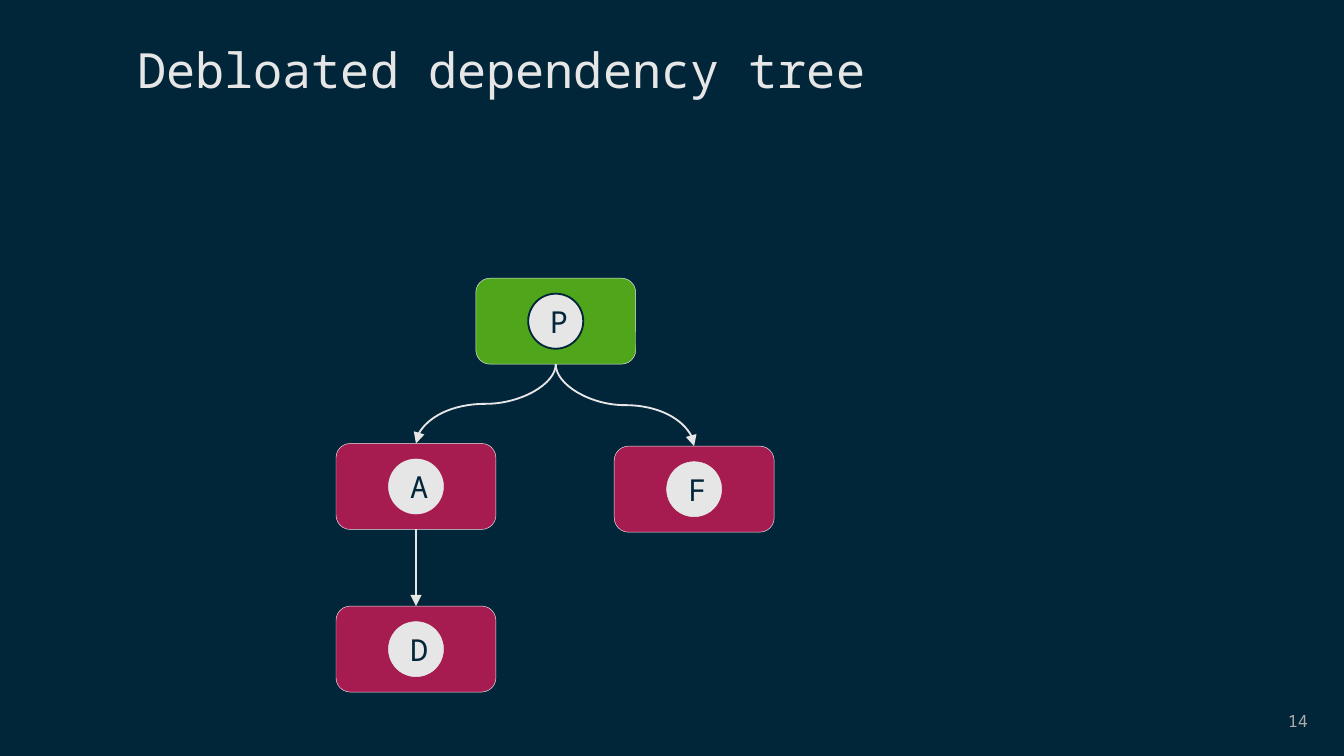
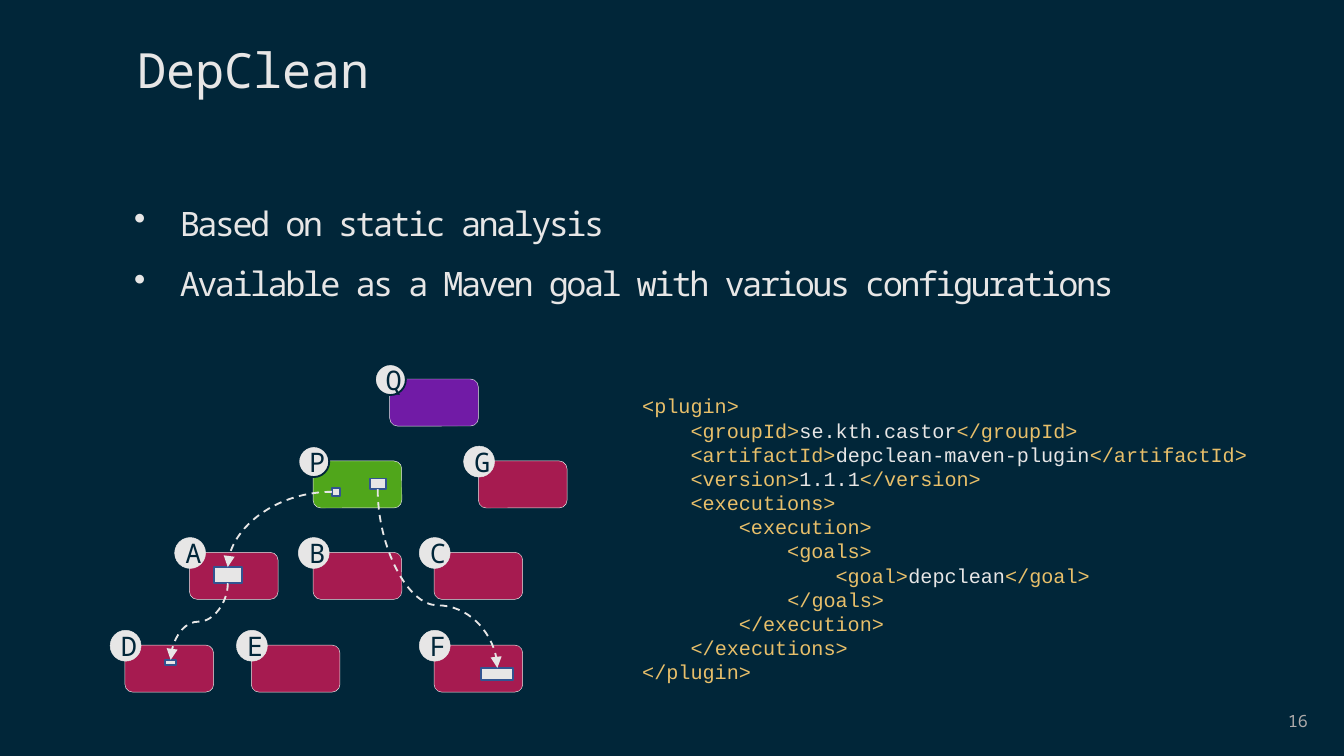
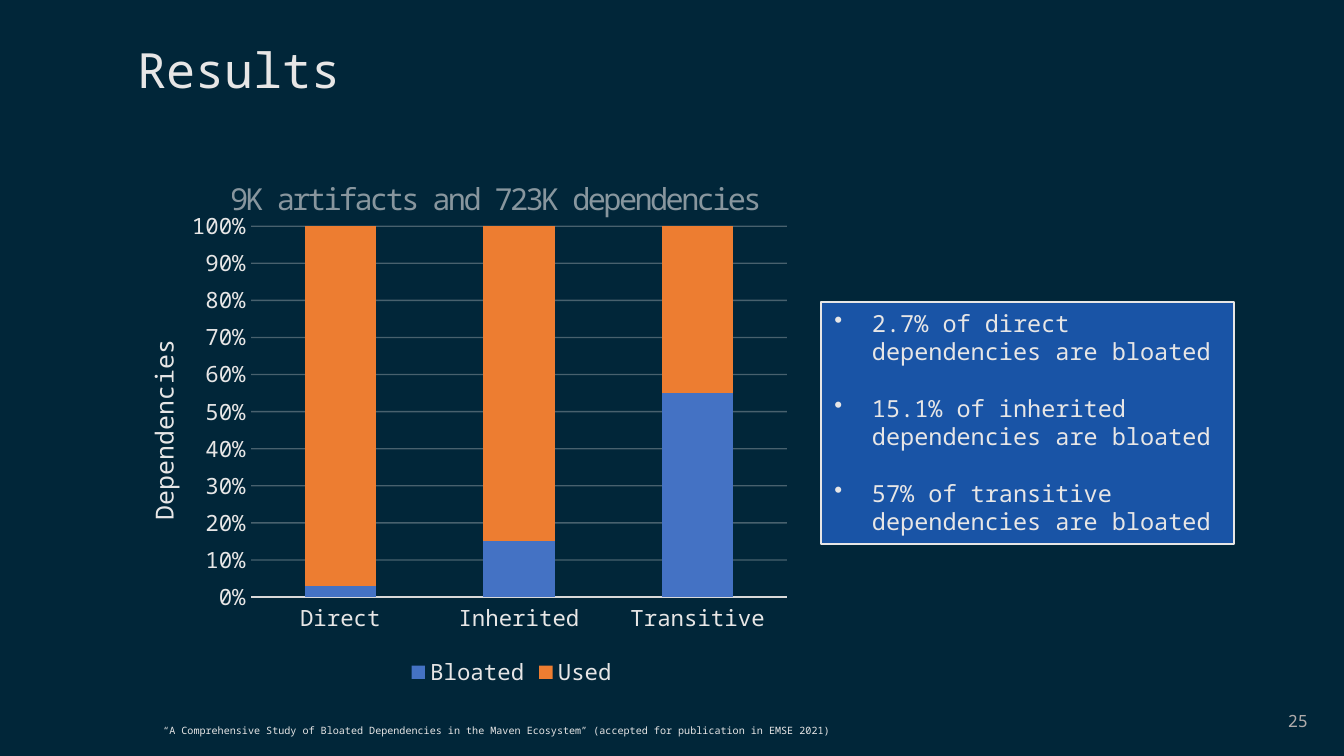
from dataclasses import dataclass

from lxml.etree import SubElement
from pptx import Presentation
from pptx.chart.data import CategoryChartData
from pptx.dml.color import RGBColor as Rgb
from pptx.enum.chart import XL_CHART_TYPE as ChartType
from pptx.enum.chart import XL_LEGEND_POSITION as LegendPosition
from pptx.enum.chart import XL_TICK_MARK as TickMark
from pptx.enum.dml import MSO_LINE as Dash
from pptx.enum.shapes import MSO_CONNECTOR as Connector
from pptx.enum.shapes import MSO_SHAPE as Preset
from pptx.enum.text import MSO_ANCHOR as Anchor
from pptx.enum.text import PP_ALIGN as Align
from pptx.oxml.ns import qn
from pptx.util import Emu, Inches, Pt


@dataclass(frozen=True)
class Theme:
    font: str = "Noto Sans Mono"
    code_font: str = "Courier New"
    background: str = "012639"
    light: str = "E7E6E6"
    muted: str = "AFABAB"
    project: str = "50A61B"
    dependency: str = "A61B50"
    parent: str = "711BA6"
    member_line: str = "325491"
    panel: str = "1954A6"
    code_tag: str = "E8BF6A"
    axis: str = "D9D9D9"
    bloated: str = "4472C4"
    used: str = "ED7D31"
    title_size: float = 26
    body_size: float = 18
    subtitle_size: float = 16.2
    axis_title_size: float = 13.3
    panel_size: float = 12.6
    chart_size: float = 12
    code_size: float = 10.8
    number_size: float = 9
    footnote_size: float = 5.4
    tight: int = -140


@dataclass(frozen=True)
class NodeStyle:
    width: float
    height: float
    badge: float
    shift: tuple
    letter_size: float


COLUMNS = 100
TREE_NODE = NodeStyle(11.9, 6.4, 4.1, (3.9, 1.15), 16.2)
SMALL_NODE = NodeStyle(6.6, 3.5, 2.3, (-1.1, -1.1), 14.4)

PLUGIN_CODE = """<plugin>
    <groupId>se.kth.castor</groupId>
    <artifactId>depclean-maven-plugin</artifactId>
    <version>1.1.1</version>
    <executions>
        <execution>
            <goals>
                <goal>depclean</goal>
            </goals>
        </execution>
    </executions>
</plugin>"""


def colour(value):
    return Rgb.from_string(value)


def fade(element, percent):
    for tint in element.iter(qn("a:srgbClr")):
        SubElement(tint, qn("a:alpha"), val=str(percent * 1000))


def place(element, position, **shares):
    layout = element.find(qn("c:layout"))
    if layout is None:
        layout = SubElement(element, qn("c:layout"))
        element.insert(position, layout)
    manual = SubElement(layout, qn("c:manualLayout"))
    if "w" in shares:
        SubElement(manual, qn("c:layoutTarget"), val="inner")
    for mode in ("xMode", "yMode"):
        SubElement(manual, qn(f"c:{mode}"), val="edge")
    for name, share in shares.items():
        SubElement(manual, qn(f"c:{name}"), val=str(share))


class Deck:
    def __init__(self, theme):
        self.theme = theme
        self.presentation = Presentation()
        self.presentation.slide_width = Inches(10)
        self.presentation.slide_height = Inches(5.625)
        self.cell = self.presentation.slide_width / COLUMNS
        fill = self.presentation.slide_master.background.fill
        fill.solid()
        fill.fore_color.rgb = colour(theme.background)
        self.slide = None

    def cells(self, *counts):
        return [Emu(round(count * self.cell)) for count in counts]

    def start(self, title, number):
        theme = self.theme
        self.slide = self.presentation.slides.add_slide(self.presentation.slide_layouts[5])
        heading = self.slide.shapes.title
        heading.left, heading.top, heading.width, heading.height = self.cells(9.2, 2.3, 84.3, 6.3)
        heading.text_frame.vertical_anchor = Anchor.MIDDLE
        self.set_lines(heading.text_frame, [title], theme.title_size, spacing=0.9)
        self.text((75.8, 52.1, 22.5, 3), [str(number)], theme.number_size, anchor=Anchor.MIDDLE,
                  align=Align.RIGHT, tint=theme.muted)

    def set_font(self, font, size, tint=None, name=None):
        font.name = name or self.theme.font
        font.size = Pt(size)
        font.color.rgb = colour(tint or self.theme.light)

    def set_lines(self, frame, lines, size, tint=None, align=Align.LEFT, spacing=None,
                  bullet_indent=None, gap=0, tracking=None):
        frame.word_wrap = True
        for index, line in enumerate(lines):
            paragraph = frame.add_paragraph() if index else frame.paragraphs[0]
            paragraph.text = line
            paragraph.alignment = align
            if spacing:
                paragraph.line_spacing = spacing
            if index and gap:
                paragraph.space_before = Pt(gap)
            if bullet_indent:
                properties = paragraph._p.get_or_add_pPr()
                indent, = self.cells(bullet_indent)
                properties.set("marL", str(indent))
                properties.set("indent", str(-indent))
                SubElement(properties, qn("a:buChar"), char="•")
            self.set_font(paragraph.font, size, tint)
            if tracking:
                paragraph.font._element.set("spc", str(tracking))

    def text(self, box, lines, size, anchor=Anchor.TOP, **options):
        frame = self.slide.shapes.add_textbox(*self.cells(*box)).text_frame
        frame.vertical_anchor = anchor
        self.set_lines(frame, lines, size, **options)
        return frame

    def code(self, box, source):
        theme = self.theme
        frame = self.slide.shapes.add_textbox(*self.cells(*box)).text_frame
        frame.word_wrap = True
        paragraph = frame.paragraphs[0]
        for index, line in enumerate(source.splitlines()):
            if index:
                paragraph.add_line_break()
            pieces = line.replace(">", ">|").replace("</", "|</").split("|")
            for piece in filter(None, pieces):
                run = paragraph.add_run()
                run.text = piece
                tint = theme.code_tag if "<" in piece else theme.light
                self.set_font(run.font, theme.code_size, tint, theme.code_font)

    def shape(self, preset, box, fill, line=None, weight=0.25):
        shape = self.slide.shapes.add_shape(preset, *self.cells(*box))
        shape.shadow.inherit = False
        shape.fill.solid()
        shape.fill.fore_color.rgb = colour(fill)
        shape.line.color.rgb = colour(line or self.theme.light)
        shape.line.width = Pt(weight)
        return shape

    def node(self, letter, left, top, fill, style):
        theme = self.theme
        card = self.shape(Preset.ROUNDED_RECTANGLE, (left, top, style.width, style.height), fill)
        across, down = style.shift
        outline = (theme.light, 0.25) if fill == theme.dependency else (theme.background, 1)
        badge = self.shape(Preset.OVAL, (left + across, top + down, style.badge, style.badge),
                           theme.light, *outline)
        frame = badge.text_frame
        frame.margin_left, = self.cells(0.5)
        frame.margin_right = frame.margin_top = frame.margin_bottom = 0
        frame.vertical_anchor = Anchor.MIDDLE
        self.set_lines(frame, [letter], style.letter_size, theme.background, Align.CENTER)
        frame.word_wrap = False
        return card

    def member(self, *box):
        return self.shape(Preset.RECTANGLE, box, self.theme.light, self.theme.member_line, 1)

    def panel(self, box, lines):
        shape = self.shape(Preset.RECTANGLE, box, self.theme.panel, weight=1)
        shape.text_frame.vertical_anchor = Anchor.TOP
        self.set_lines(shape.text_frame, lines, self.theme.panel_size, bullet_indent=2.8, gap=15.2)

    def arrow(self, kind, start, end, dashed=False):
        points = [Emu(round(value)) for value in (*start, *end)]
        connector = self.slide.shapes.add_connector(kind, *points)
        connector.line.color.rgb = colour(self.theme.light)
        connector.line.width = Pt(1)
        if dashed:
            connector.line.dash_style = Dash.DASH
        properties = connector._element.spPr
        SubElement(properties.find(qn("a:ln")), qn("a:tailEnd"), type="triangle")
        SubElement(properties, qn("a:effectLst"))
        return connector

    def straight_arrow(self, upper, lower):
        connector = self.arrow(Connector.STRAIGHT, (upper.left, upper.top), (lower.left, lower.top))
        connector.begin_connect(upper, 2)
        connector.end_connect(lower, 0)

    def falling_curve(self, upper, lower, dashed=False, bend=0.5):
        start_x, start_y = upper.left + upper.width / 2, upper.top + upper.height
        end_x, end_y = lower.left + lower.width / 2, lower.top
        middle_x, middle_y = (start_x + end_x) / 2, (start_y + end_y) / 2
        half_long, half_short = (end_y - start_y) / 2, abs(end_x - start_x) / 2
        connector = self.arrow(Connector.CURVE, (middle_x - half_long, middle_y - half_short),
                               (middle_x + half_long, middle_y + half_short), dashed)
        properties = connector._element.spPr
        frame = properties.find(qn("a:xfrm"))
        to_right = end_x > start_x
        frame.set("rot", str((270 if to_right else 90) * 60000))
        if to_right:
            frame.set("flipH", "1")
        guides = properties.find(qn("a:prstGeom")).find(qn("a:avLst"))
        SubElement(guides, qn("a:gd"), name="adj1", fmla=f"val {round(bend * 100000)}")

    def side_curve(self, source, target):
        connector = self.arrow(Connector.CURVE, (source.left, source.top + source.height / 2),
                               (target.left + target.width / 2, target.top), dashed=True)
        connector._element.spPr.find(qn("a:prstGeom")).set("prst", "curvedConnector2")

    def share_chart(self, box, categories, series, axis_title):
        theme = self.theme
        data = CategoryChartData()
        data.categories = categories
        for name, values, _ in series:
            data.add_series(name, values)
        chart = self.slide.shapes.add_chart(
            ChartType.COLUMN_STACKED_100, *self.cells(*box), data).chart
        chart.has_title = False
        self.set_font(chart.font, theme.chart_size)
        plot = chart.plots[0]
        plot.vary_by_categories = False
        plot.gap_width, plot.overlap = 150, 100
        for drawn, (_, _, fill) in zip(plot.series, series):
            drawn.format.fill.solid()
            drawn.format.fill.fore_color.rgb = colour(fill)

        categories_axis, values_axis = chart.category_axis, chart.value_axis
        for axis in (categories_axis, values_axis):
            axis.major_tick_mark = axis.minor_tick_mark = TickMark.NONE
            self.set_font(axis.tick_labels.font, theme.chart_size)
        categories_axis.format.line.color.rgb = colour(theme.axis)
        categories_axis.format.line.width = Pt(0.75)
        values_axis.format.line.fill.background()
        values_axis.tick_labels.number_format = "0%"
        values_axis.tick_labels.number_format_is_linked = False
        values_axis.has_major_gridlines = True
        grid_line = values_axis.major_gridlines.format.line
        grid_line.color.rgb = colour(theme.light)
        grid_line.width = Pt(0.75)
        fade(values_axis._element.find(qn("c:majorGridlines")), 31)
        paragraph = values_axis.axis_title.text_frame.paragraphs[0]
        paragraph.text = axis_title
        self.set_font(paragraph.font, theme.axis_title_size)
        paragraph.font.bold = False

        chart.has_legend = True
        chart.legend.position = LegendPosition.BOTTOM
        chart.legend.include_in_layout = False
        self.set_font(chart.legend.font, theme.chart_size)
        place(chart._chartSpace.chart.plotArea, 0, x=0.21, y=0.05, w=0.77, h=0.75)
        place(values_axis.axis_title._element, 1, x=0.05, y=0.27)
        place(chart.legend._element, 1, x=0.43, y=0.91)


def debloated_tree(deck):
    theme = deck.theme
    deck.start("Debloated dependency tree", 14)
    project = deck.node("P", 35.4, 20.7, theme.project, TREE_NODE)
    first, second, nested = [
        deck.node(letter, left, top, theme.dependency, TREE_NODE)
        for letter, left, top in (("A", 25, 33), ("F", 45.7, 33.2), ("D", 25, 45.1))]
    deck.falling_curve(project, first)
    deck.falling_curve(project, second)
    deck.straight_arrow(first, nested)


def depclean(deck):
    theme = deck.theme
    deck.start("DepClean", 16)
    deck.text((9, 13.1, 75.6, 9.6),
              ["Based on static analysis", "Available as a Maven goal with various configurations"],
              theme.body_size, spacing=1.5, bullet_indent=3.4, tracking=theme.tight)
    deck.node("Q", 29, 28.2, theme.parent, SMALL_NODE)
    deck.node("P", 23.3, 34.3, theme.project, SMALL_NODE)
    for letter, left, top in (("G", 35.6, 34.3), ("A", 14.1, 41.1), ("B", 23.3, 41.1),
                              ("C", 32.3, 41.1), ("D", 9.3, 48), ("E", 18.7, 48),
                              ("F", 32.3, 48)):
        deck.node(letter, left, top, theme.dependency, SMALL_NODE)
    caller_of_a = deck.member(24.7, 36.3, 0.6, 0.6)
    caller_of_f = deck.member(27.5, 35.6, 1.2, 0.8)
    used_in_a = deck.member(15.9, 42.2, 2.1, 1.2)
    used_in_d = deck.member(12.3, 49.1, 0.8, 0.4)
    used_in_f = deck.member(35.8, 49.7, 2.4, 0.9)
    deck.side_curve(caller_of_a, used_in_a)
    deck.falling_curve(used_in_a, used_in_d, dashed=True)
    deck.falling_curve(caller_of_f, used_in_f, dashed=True, bend=0.65)
    deck.code((46.8, 28.8, 47.9, 22.8), PLUGIN_CODE)


def results(deck):
    theme = deck.theme
    deck.start("Results", 25)
    deck.share_chart((7.8, 15, 51.8, 36.8), ["Direct", "Inherited", "Transitive"],
                     [("Bloated", (3, 15, 55), theme.bloated), ("Used", (97, 85, 45), theme.used)],
                     "Dependencies")
    deck.panel((61.1, 22.5, 30.7, 18),
               [f"{share} of {kind} dependencies are bloated" for share, kind in
                (("2.7%", "direct"), ("15.1%", "inherited"), ("57%", "transitive"))])
    subtitle = deck.text((15.2, 11.6, 43.4, 4.6), ["9K artifacts and 723K dependencies"],
                         theme.subtitle_size, align=Align.CENTER, spacing=1.5,
                         tracking=theme.tight)
    fade(subtitle.paragraphs[0]._p, 58)
    deck.text((9.6, 53.4, 54.6, 1.9),
              ["“A Comprehensive Study of Bloated Dependencies in the Maven Ecosystem” "
               "(accepted for publication in EMSE 2021)"],
              theme.footnote_size, align=Align.CENTER)


def main():
    deck = Deck(Theme())
    for build in (debloated_tree, depclean, results):
        build(deck)
    deck.presentation.save("out.pptx")


if __name__ == "__main__":
    main()
